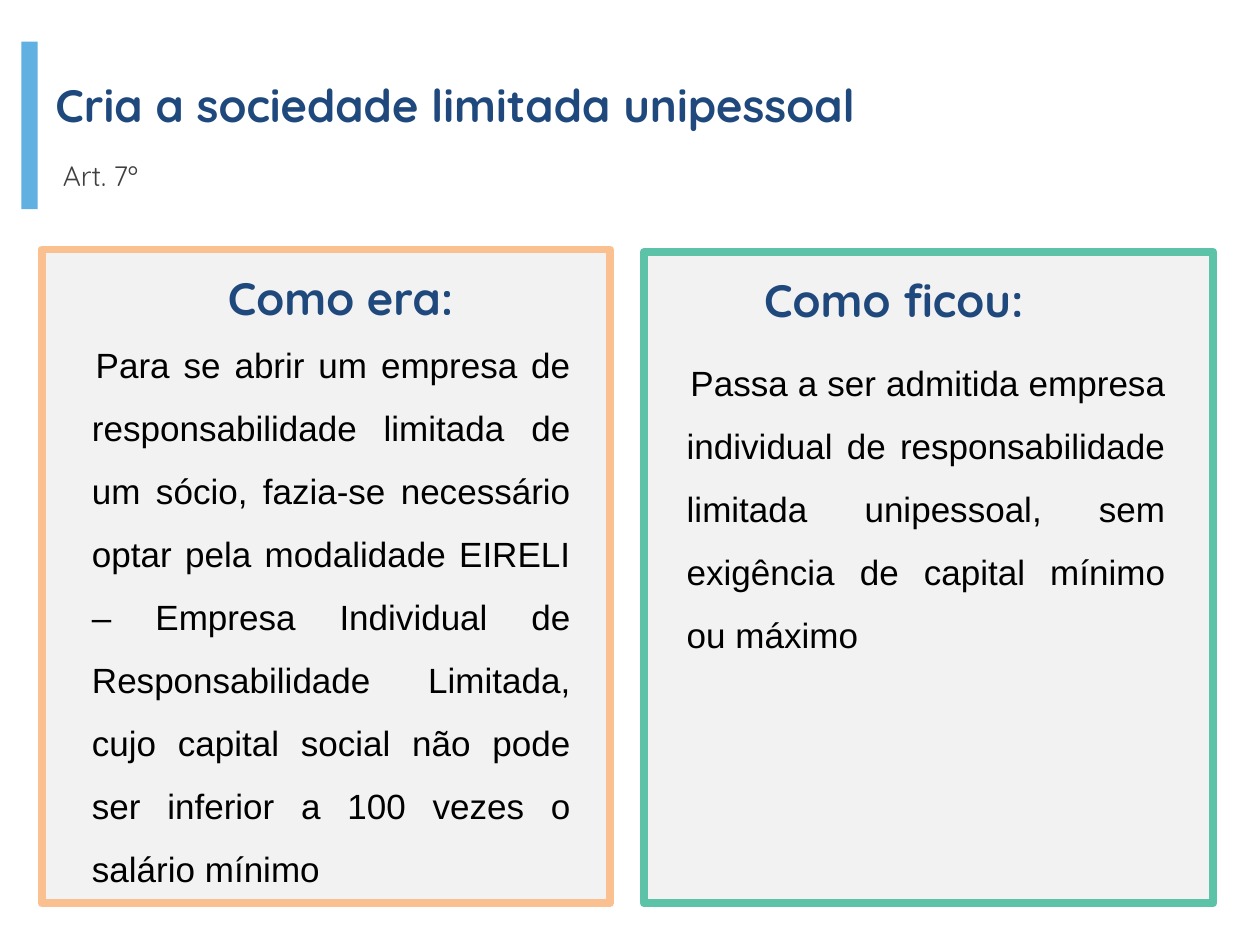
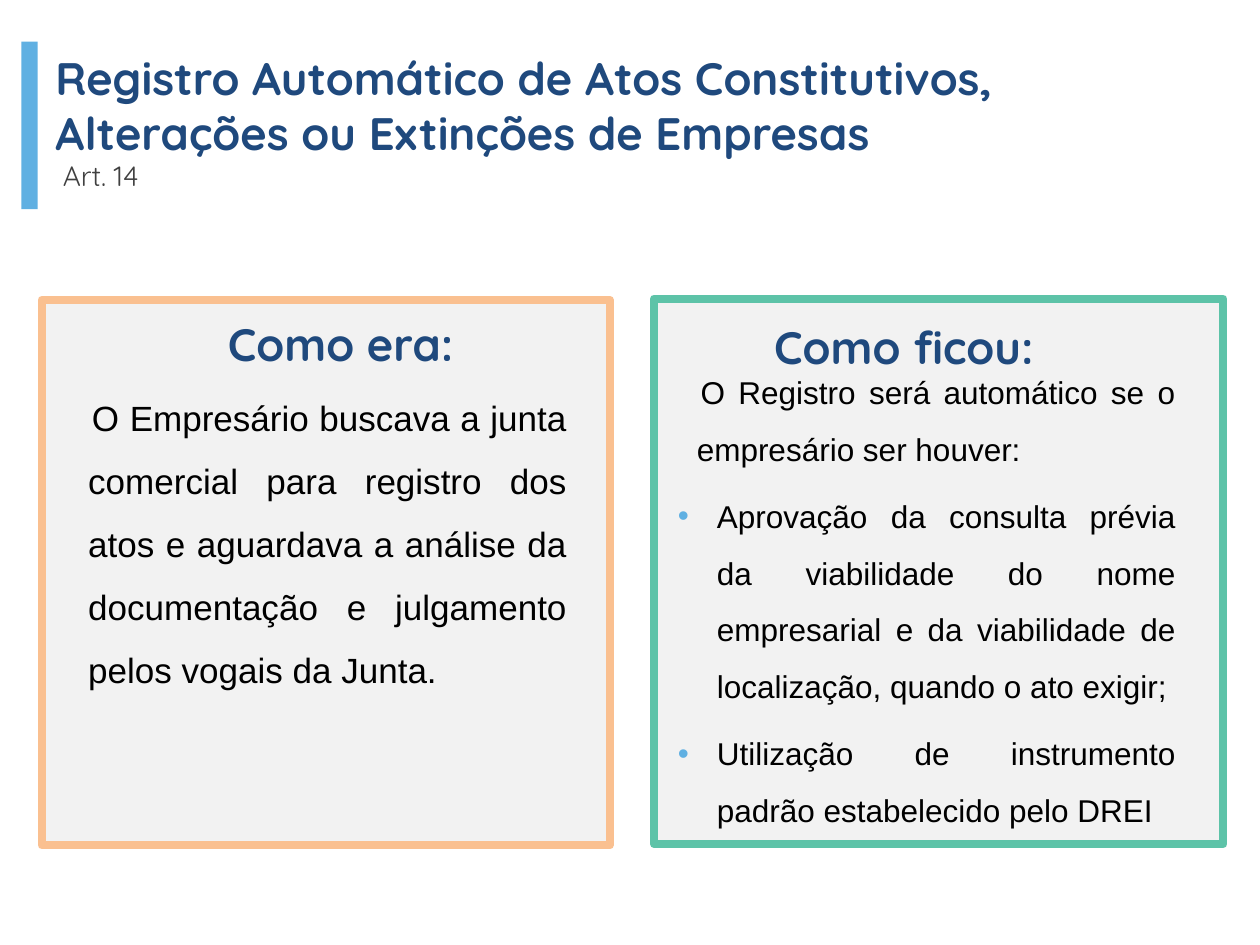
from dataclasses import dataclass

from lxml.etree import SubElement
from pptx import Presentation
from pptx.dml.color import RGBColor
from pptx.enum.shapes import MSO_SHAPE
from pptx.enum.text import MSO_ANCHOR, MSO_AUTO_SIZE, PP_ALIGN
from pptx.oxml.ns import qn
from pptx.util import Inches, Pt

COLS, ROWS = 100, 75
COMPARISON_LAYOUT = 4
NAVY, GRAY, BLACK = "1F497D", "404040", "000000"
SKY, PALE, PEACH, GREEN = "60B0E2", "F2F2F2", "FAC090", "5DC3A8"
HEAD_FONT, BODY_FONT = "Quicksand", "Arial"


def color(hex_code):
    return RGBColor.from_string(hex_code)


@dataclass
class Panel:
    """One side of the comparison; lengths in grid cells."""
    box: tuple
    border: str
    heading: str
    heading_at: tuple
    body_box: tuple
    body: list
    size: int = 20


class Deck:
    def __init__(self):
        self.prs = Presentation()
        self.prs.slide_width, self.prs.slide_height = Inches(10), Inches(7.5)
        self.cell_w = self.prs.slide_width / COLS
        self.cell_h = self.prs.slide_height / ROWS
        self.slide = None

    def grid(self, x, y, w, h):
        return (round(x * self.cell_w), round(y * self.cell_h),
                round(w * self.cell_w), round(h * self.cell_h))

    def new_slide(self):
        layout = self.prs.slide_layouts[COMPARISON_LAYOUT]
        self.slide = self.prs.slides.add_slide(layout)

    def rect(self, box, fill, line=None):
        """Rectangle placed behind the text."""
        shapes = self.slide.shapes
        sp = shapes.add_shape(MSO_SHAPE.RECTANGLE, *self.grid(*box))
        sp.shadow.inherit = False
        sp.fill.solid()
        sp.fill.fore_color.rgb = color(fill)
        if line:
            sp.line.color.rgb = color(line)
            sp.line.width = Pt(4.5)
        else:
            sp.line.fill.background()
        shapes.element.insert(2, sp.element)

    def set_text(self, sp, box, lines, size, font, hex_code, bold=False,
                 align=PP_ALIGN.LEFT, anchor=MSO_ANCHOR.MIDDLE):
        sp.left, sp.top, sp.width, sp.height = self.grid(*box)
        tf = sp.text_frame
        tf.text = "\n".join(lines)
        tf.word_wrap = True
        tf.auto_size = MSO_AUTO_SIZE.NONE
        tf.vertical_anchor = anchor
        for p in tf.paragraphs:
            p.alignment = align
            p.space_before = Pt(0)
            for r in p.runs:
                r.font.size, r.font.name, r.font.bold = Pt(size), font, bold
                r.font.color.rgb = color(hex_code)
        return tf.paragraphs

    def indent(self, p, margin, first, bullet=False):
        pPr = p._p.get_or_add_pPr()
        pPr.set("marL", str(Inches(margin)))
        pPr.set("indent", str(Inches(first)))
        if bullet:
            clr = SubElement(pPr, qn("a:buClr"))
            SubElement(clr, qn("a:srgbClr"), val=SKY)
            SubElement(pPr, qn("a:buChar"), char="•")
        else:
            SubElement(pPr, qn("a:buNone"))

    def header(self, title, title_box, article):
        self.set_text(self.slide.shapes.title, title_box, [title],
                      26, HEAD_FONT, NAVY, bold=True)
        box = (4, 12.1, 71.9, 3.7)
        sp = self.slide.shapes.add_textbox(*self.grid(*box))
        self.set_text(sp, box, [article], 16, HEAD_FONT, GRAY,
                      anchor=MSO_ANCHOR.TOP)
        self.rect((1.7, 3.3, 1.3, 13.3), SKY)

    def panel(self, panel, heading_idx):
        holders = self.slide.placeholders
        self.rect(panel.box, PALE, panel.border)
        heading, = self.set_text(
            holders[heading_idx], (*panel.heading_at, 37.9, 6.8),
            [panel.heading], 26, HEAD_FONT, NAVY, bold=True,
            align=PP_ALIGN.CENTER)
        body = self.set_text(
            holders[heading_idx + 1], panel.body_box, panel.body,
            panel.size, BODY_FONT, BLACK, align=PP_ALIGN.JUSTIFY)
        for p in (heading, *body):
            p.line_spacing, p.space_after = 1.5, Pt(6)
        self.indent(heading, 0, 0)
        self.indent(body[0], 0.15, 0.03)
        for p in body[1:]:
            self.indent(p, 0.31, -0.31, bullet=True)

    def comparison(self, title, title_box, article, before, after):
        self.new_slide()
        self.header(title, title_box, article)
        self.panel(before, 1)
        self.panel(after, 3)


def main():
    deck = Deck()

    # Single-member company
    deck.comparison(
        "Cria a sociedade limitada unipessoal", (3.4, 5.6, 94.5, 5.4), "Art. 7º",
        Panel((3.3, 19.8, 45.1, 51.9), PEACH, "Como era:", (8.1, 19.1),
              (4.8, 24.9, 41.5, 46.4),
              ["Para se abrir um empresa de responsabilidade limitada de um "
               "sócio, fazia-se necessário optar pela modalidade EIRELI – "
               "Empresa Individual de Responsabilidade Limitada, cujo capital "
               "social não pode ser inferior a 100 vezes o salário mínimo"]),
        Panel((51.1, 20, 45.2, 51.7), GREEN, "Como ficou:", (52, 19.3),
              (52, 26.4, 41.5, 26.3),
              ["Passa a ser admitida empresa individual de responsabilidade "
               "limitada unipessoal, sem exigência de capital mínimo ou máximo"]))

    # Automatic registration
    deck.comparison(
        "Registro Automático de Atos Constitutivos, Alterações ou Extinções "
        "de Empresas", (3.4, 3.4, 94.5, 9.8), "Art. 14",
        Panel((3.3, 23.8, 45.1, 43.3), PEACH, "Como era:", (8.1, 22.8),
              (4.5, 29.5, 41.5, 25.6),
              ["O Empresário buscava a junta comercial para registro dos atos "
               "e aguardava a análise da documentação e julgamento pelos "
               "vogais da Junta."]),
        Panel((51.9, 23.7, 45.2, 43.3), GREEN, "Como ficou:", (52.8, 23),
              (52.8, 27.7, 41.5, 38.5),
              ["O Registro será automático se o empresário ser houver:",
               "Aprovação da consulta prévia da viabilidade do nome "
               "empresarial e da viabilidade de localização, quando o ato "
               "exigir;",
               "Utilização de instrumento padrão estabelecido pelo DREI"],
              size=18))

    deck.prs.save("out.pptx")


if __name__ == "__main__":
    main()
